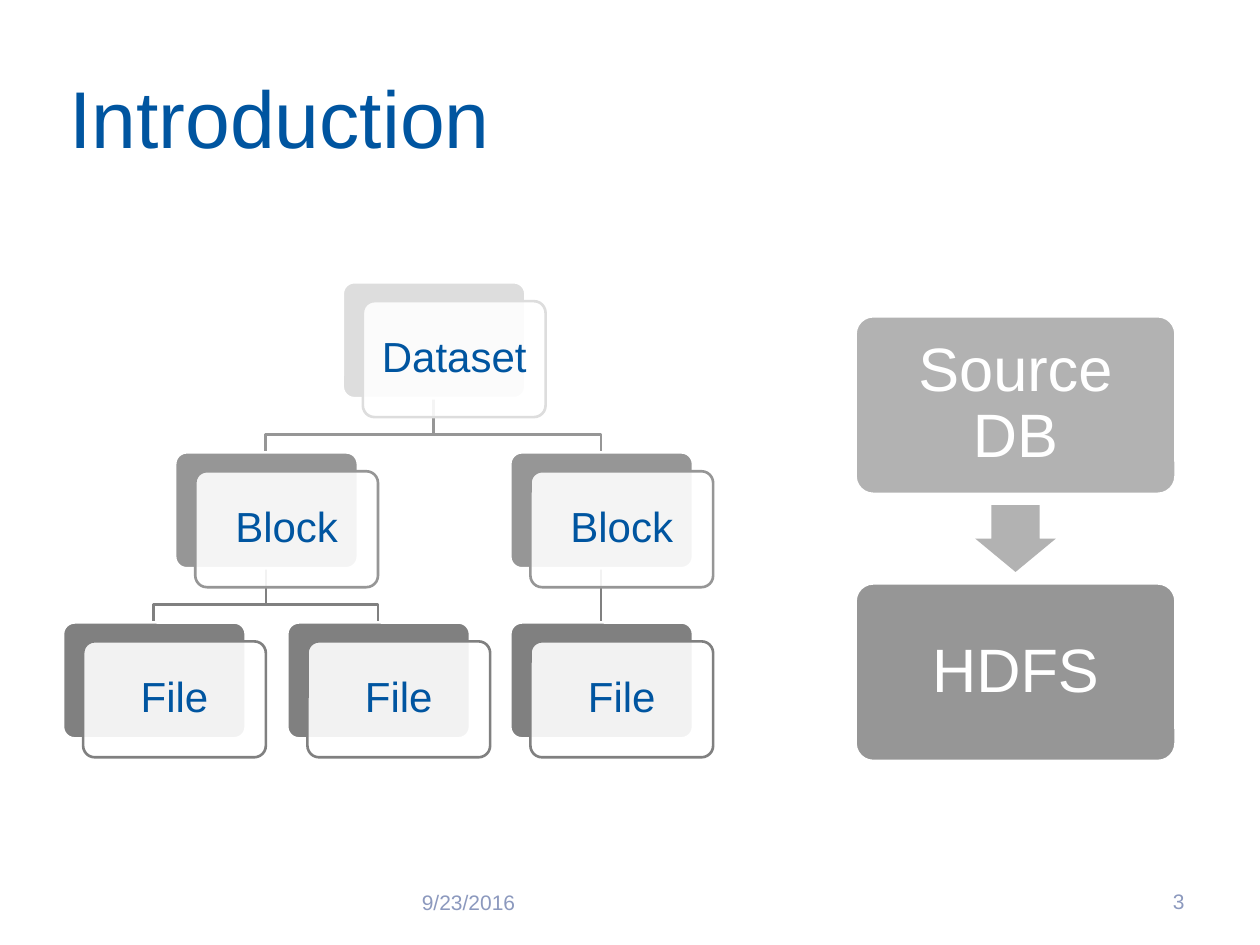
from lxml import etree
from pptx import Presentation
from pptx.dml.color import RGBColor
from pptx.enum.shapes import MSO_CONNECTOR, MSO_SHAPE
from pptx.enum.text import MSO_ANCHOR, PP_ALIGN
from pptx.oxml.ns import qn
from pptx.util import Pt

PX = 9144  # 100 px to the inch
ROUND, DOWN = MSO_SHAPE.ROUNDED_RECTANGLE, MSO_SHAPE.DOWN_ARROW
LEFT, MID, RIGHT = PP_ALIGN.LEFT, PP_ALIGN.CENTER, PP_ALIGN.RIGHT
BLUE = RGBColor(0x00, 0x55, 0xA0)
MUTED = RGBColor(0x8C, 0x99, 0xBE)
WHITE = RGBColor(0xFF, 0xFF, 0xFF)
PALE = RGBColor(0xDD, 0xDD, 0xDD)
LIGHT = RGBColor(0xB2, 0xB2, 0xB2)
GREY = RGBColor(0x96, 0x96, 0x96)
DARK = RGBColor(0x80, 0x80, 0x80)

prs = Presentation()
prs.slide_width, prs.slide_height = 1000 * PX, 750 * PX
slide = prs.slides.add_slide(prs.slide_layouts[6])
shapes = slide.shapes


def write(shape, text, size, color, align, inset):
    frame = shape.text_frame
    frame.word_wrap = True
    frame.vertical_anchor = MSO_ANCHOR.MIDDLE
    frame.margin_left = frame.margin_right = inset * PX
    frame.margin_top = frame.margin_bottom = inset * PX
    frame.text = text
    para = frame.paragraphs[0]
    para.alignment = align
    if align == MID:
        para.line_spacing = 0.9
    font = para.runs[0].font
    font.name, font.size, font.color.rgb = "Arial", Pt(size), color


def add_card(x, y, w, h, fill, line):
    card = shapes.add_shape(ROUND, x * PX, y * PX, w * PX, h * PX)
    card.adjustments[0] = 0.1
    card.shadow.inherit = False
    card.fill.solid()
    card.fill.fore_color.rgb = fill
    card.line.color.rgb = line
    card.line.width = Pt(1.5)
    return card


# Title and footer
for text, x, y, w, h, size, color, align, inset in [
    ("Introduction", 50, 30, 900, 125, 46, BLUE, LEFT, 5),
    ("9/23/2016", 325, 696, 233, 40, 12, MUTED, LEFT, 10),
    ("3", 895, 695, 55, 40, 12, MUTED, RIGHT, 10),
]:
    box = shapes.add_textbox(x * PX, y * PX, w * PX, h * PX)
    write(box, text, size, color, align, inset)

# Tree: label, colour, top and lefts of each level
CARD_W, CARD_H = 145, 92
levels = [
    ("Dataset", PALE, 224, [272]),
    ("Block", GREY, 359, [139, 405]),
    ("File", DARK, 494, [50, 228, 405]),
]
# Level of the child, left of the parent, left of the child
links = [(1, 272, 139), (1, 272, 405), (2, 139, 50), (2, 139, 228), (2, 405, 405)]

for level, start, end in links:
    color, bottom = levels[level][1:3]
    top = levels[level - 1][2] + CARD_H
    start, end = start + CARD_W // 2, end + CARD_W // 2
    if start == end:
        link = shapes.add_connector(
            MSO_CONNECTOR.STRAIGHT, start * PX, top * PX, end * PX, bottom * PX)
        etree.SubElement(link._element.spPr, qn("a:effectLst"))
    else:
        bend = top + 29
        path = shapes.build_freeform(start, top, scale=PX)
        path.add_line_segments([(start, bend), (end, bend), (end, bottom)], close=False)
        link = path.convert_to_shape()
        link.fill.background()
        link.shadow.inherit = False
    link.line.color.rgb = color
    link.line.width = Pt(1.5)

for label, color, top, lefts in levels:
    for left in lefts:
        add_card(left, top, CARD_W, CARD_H, color, WHITE)
        front = add_card(left + 16, top + 15, CARD_W, CARD_H, WHITE, color)
        tint = front.fill._xPr.find(qn("a:solidFill"))[0]
        etree.SubElement(tint, qn("a:alpha"), val="90000")
        write(front, label, 24, BLUE, MID, 10)

# Storage flow
for label, color, top in [("Source DB", LIGHT, 251), ("HDFS", GREY, 463)]:
    store = add_card(679, top, 254, 141, color, WHITE)
    write(store, label, 35, WHITE, MID, 15)

arrow = shapes.add_shape(DOWN, 774 * PX, 401 * PX, 64 * PX, 53 * PX)
arrow.adjustments[0], arrow.adjustments[1] = 0.6, 0.5
arrow.shadow.inherit = False
arrow.fill.solid()
arrow.fill.fore_color.rgb = LIGHT
arrow.line.fill.background()

prs.save("out.pptx")
